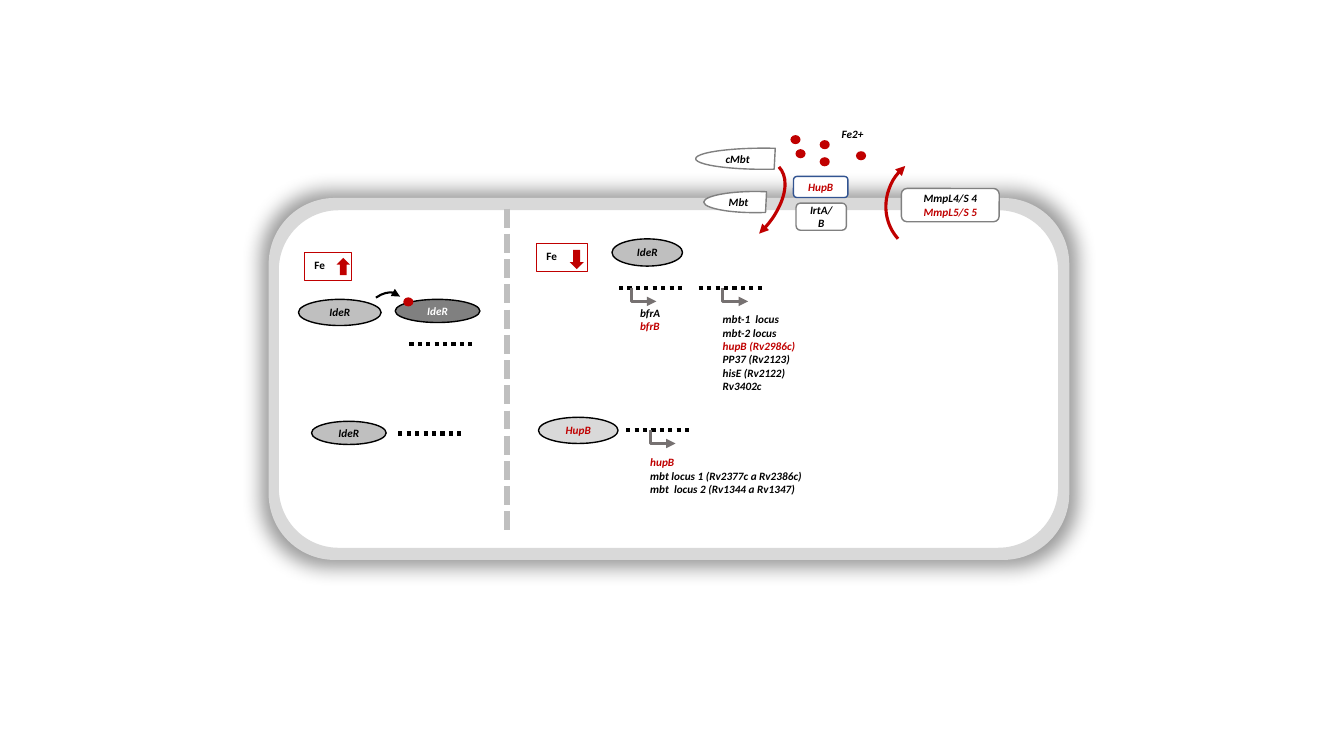
from lxml import etree
from pptx import Presentation
from pptx import util as u
from pptx.dml.color import RGBColor
from pptx.enum import dml, shapes, text
from pptx.oxml import ns

COLORS = {
    "black": "000000", "white": "FFFFFF", "red": "C00000", "blue": "325491",
    "membrane": "D9D9D9", "divider": "BFBFBF", "bound": "808080",
    "outline": "808080", "promoter": "767171",
}
KIND = shapes.MSO_SHAPE


def rgb(name):
    """Return the named colour."""
    return RGBColor.from_string(COLORS[name])


def style_line(line, color, width, dash=None):
    """Set the colour, width and dash of a line."""
    line.color.rgb = rgb(color)
    line.width = u.Pt(width)
    if dash:
        line.dash_style = dash


def add_arrowhead(shape, end="tailEnd"):
    """Put a triangle on one end of an outline."""
    line = shape.line._get_or_add_ln()
    etree.SubElement(line, ns.qn(f"a:{end}"), type="triangle")


def write(shape, lines, italic=True, align="LEFT", anchor="MIDDLE"):
    """Write (text, colour) lines into a shape."""
    frame = shape.text_frame
    frame.word_wrap = True
    frame.vertical_anchor = text.MSO_ANCHOR[anchor]
    for index, (words, color) in enumerate(lines):
        paragraph = frame.add_paragraph() if index else frame.paragraphs[0]
        paragraph.alignment = text.PP_ALIGN[align]
        run = paragraph.add_run()
        run.text = words
        run.font.name = "Calibri"
        run.font.size = u.Pt(8)
        run.font.bold = True
        run.font.italic = italic
        run.font.color.rgb = rgb(color)


def add_shape(slide, kind, box, fill=None, line=None, width=1, rotation=0, flip="", adjust=()):
    """Add a preset shape with the given fill, outline and orientation."""
    shape = slide.shapes.add_shape(kind, *map(u.Inches, box))
    shape.shadow.inherit = False
    shape.rotation = rotation
    for index, value in enumerate(adjust):
        shape.adjustments[index] = value
    for axis in flip:
        shape._element.spPr.find(ns.qn("a:xfrm")).set(f"flip{axis}", "1")
    if fill:
        shape.fill.solid()
        shape.fill.fore_color.rgb = rgb(fill)
    else:
        shape.fill.background()
    if line:
        style_line(shape.line, line, width)
    else:
        shape.line.fill.background()
    return shape


def add_glow_shadow(shape):
    """Give a shape a soft shadow on all sides."""
    effects = shape._element.spPr.find(ns.qn("a:effectLst"))
    shadow = etree.SubElement(effects, ns.qn("a:outerShdw"), blurRad=str(u.Inches(0.2)),
                              dist="0", sx="102000", sy="104000", algn="ctr", rotWithShape="0")
    color = etree.SubElement(shadow, ns.qn("a:srgbClr"), val=COLORS["black"])
    etree.SubElement(color, ns.qn("a:alpha"), val="40000")


def add_line(slide, start, end, color, width, dash):
    """Add a dashed straight line."""
    connector = slide.shapes.add_connector(
        shapes.MSO_CONNECTOR.STRAIGHT, *map(u.Inches, (*start, *end)))
    style_line(connector.line, color, width, dash)
    etree.SubElement(connector._element.spPr, ns.qn("a:effectLst"))


def add_dna(slide, left, top):
    """Add a dotted stretch of DNA."""
    add_line(slide, (left, top), (left + 0.65, top), "black", 3, dml.MSO_LINE.ROUND_DOT)


def add_promoter(slide, left, top):
    """Add a bent arrow that marks the start of transcription."""
    corner = u.Inches(top + 0.13)
    builder = slide.shapes.build_freeform(u.Inches(left), u.Inches(top))
    builder.add_line_segments(
        [(u.Inches(left), corner), (u.Inches(left + 0.25), corner)], close=False)
    shape = builder.convert_to_shape()
    shape.shadow.inherit = False
    shape.fill.background()
    style_line(shape.line, "promoter", 2.25)
    add_arrowhead(shape)


def add_genes(slide, box, lines):
    """Add a text box of gene names."""
    write(slide.shapes.add_textbox(*map(u.Inches, box)), lines, anchor="TOP")


def add_regulator(slide, box, name, fill, color="black"):
    """Add a regulator protein as a labelled ellipse."""
    write(add_shape(slide, KIND.OVAL, box, fill, "black"), [(name, color)], align="CENTER")


def add_iron_level(slide, box, arrow_box, flip=""):
    """Add an iron label with its level arrow."""
    label = add_shape(slide, KIND.RECTANGLE, box, "white", "red", 0.75)
    write(label, [("Fe", "black")], italic=False, anchor="TOP")
    add_shape(slide, KIND.DOWN_ARROW, arrow_box, "red", flip=flip)


def add_iron(slide, left, top):
    """Add one iron ion."""
    add_shape(slide, KIND.OVAL, (left, top, 0.1, 0.09), "red")


def add_transporter(slide, box, lines):
    """Add a turned membrane box whose text reads level."""
    shape = add_shape(slide, KIND.ROUNDED_RECTANGLE, box, "white", "outline", rotation=90)
    write(shape, lines, align="CENTER")
    shape.text_frame._txBody.bodyPr.set("vert", "vert270")


def add_arc(slide, box, rotation, color, width, end, flip=""):
    """Add a curved arrow that spans a quarter turn."""
    arc = add_shape(slide, KIND.ARC, box, None, color, width, rotation, flip, (162, 1.43))
    add_arrowhead(arc, end)


def add_siderophore(slide, box, name):
    """Add a labelled mycobactin chord."""
    chord = add_shape(slide, KIND.CHORD, box, "white", "outline", adjust=(27, 190.71))
    write(chord, [(name, "black")])


def add_cell(slide):
    """Add the cell envelope and the divider between iron states."""
    wall = add_shape(slide, KIND.ROUNDED_RECTANGLE, (2.68, 1.98, 7.91, 3.56), "membrane",
                     "membrane", 2.25, adjust=[0.18])
    add_glow_shadow(wall)
    add_shape(slide, KIND.ROUNDED_RECTANGLE, (2.75, 2.07, 7.76, 3.38), "white",
              "membrane", 2.25, adjust=[0.18])
    add_line(slide, (5.03, 2.07), (5.03, 5.27), "divider", 4.5, dml.MSO_LINE.SQUARE_DOT)


def add_high_iron(slide):
    """Add the high-iron half of the cell."""
    add_regulator(slide, (3.92, 2.97, 0.84, 0.23), "IdeR", "bound", "white")
    add_iron(slide, 4, 2.95)
    add_arc(slide, (3.68, 2.86, 0.26, 0.39), 54.4, "black", 1.5, "headEnd", "H")
    add_regulator(slide, (2.96, 2.97, 0.82, 0.26), "IdeR", "divider")
    add_regulator(slide, (3.09, 4.18, 0.74, 0.23), "IdeR", "divider")
    add_iron_level(slide, (3.02, 2.51, 0.47, 0.27), (3.34, 2.56, 0.13, 0.17), "V")
    for left, top in ((4.06, 3.41), (3.95, 4.3)):
        add_dna(slide, left, top)


def add_low_iron(slide):
    """Add the low-iron half of the cell."""
    add_iron_level(slide, (5.32, 2.42, 0.51, 0.27), (5.65, 2.48, 0.14, 0.19))
    add_regulator(slide, (6.07, 2.37, 0.7, 0.27), "IdeR", "divider")
    add_regulator(slide, (5.34, 4.14, 0.79, 0.26), "HupB", "membrane", "red")
    for dna_left, promoter_left, top in ((6.14, 6.26, 2.86), (6.93, 7.17, 2.86), (6.21, 6.45, 4.27)):
        add_dna(slide, dna_left, top)
        add_promoter(slide, promoter_left, top)
    add_genes(slide, (6.25, 2.99, 0.46, 0.42), [("bfrA", "black"), ("bfrB", "red")])
    add_genes(slide, (7.07, 3.05, 1.06, 1.02), [
        ("mbt-1  locus", "black"), ("mbt-2 locus", "black"), ("hupB (Rv2986c)", "red"),
        ("PP37 (Rv2123)", "black"), ("hisE (Rv2122)", "black"), ("Rv3402c", "black")])
    add_genes(slide, (6.35, 4.47, 1.95, 0.57), [
        ("hupB", "red"), ("mbt locus 1 (Rv2377c a Rv2386c)", "black"),
        ("mbt  locus 2 (Rv1344 a Rv1347)", "black")])


def add_transport(slide):
    """Add iron uptake and siderophore export across the envelope."""
    for left, top in ((7.89, 1.48), (8.13, 1.39), (8.49, 1.5), (8.13, 1.56), (7.84, 1.34)):
        add_iron(slide, left, top)
    add_genes(slide, (8.25, 1.21, 0.68, 0.27), [("Fe2+", "black")])
    add_transporter(slide, (8.01, 1.9, 0.27, 0.5), [("IrtA/B", "black")])
    add_transporter(slide, (9.26, 1.55, 0.33, 0.97), [("MmpL4/S 4", "black"), ("MmpL5/S 5", "red")])
    add_siderophore(slide, (6.9, 1.47, 1.35, 0.21), "cMbt")
    for box, rotation, flip in (((6.97, 1.48, 0.67, 1.18), 45.5, ""),
                                ((8.8, 1.51, 0.98, 1.03), 48.1, "HV")):
        add_arc(slide, box, rotation, "red", 2.25, "tailEnd", flip)
    add_siderophore(slide, (6.98, 1.9, 1.02, 0.21), "Mbt")
    protein = add_shape(slide, KIND.ROUNDED_RECTANGLE, (7.87, 1.75, 0.54, 0.21), "white", "blue")
    write(protein, [("HupB", "red")], align="CENTER")


def main():
    """Build the slide and save it."""
    presentation = Presentation()
    presentation.slide_width = u.Inches(13.33)
    presentation.slide_height = u.Inches(7.5)
    slide = presentation.slides.add_slide(presentation.slide_layouts[6])
    add_cell(slide)
    add_low_iron(slide)
    add_high_iron(slide)
    add_transport(slide)
    presentation.save("out.pptx")


if __name__ == "__main__":
    main()
